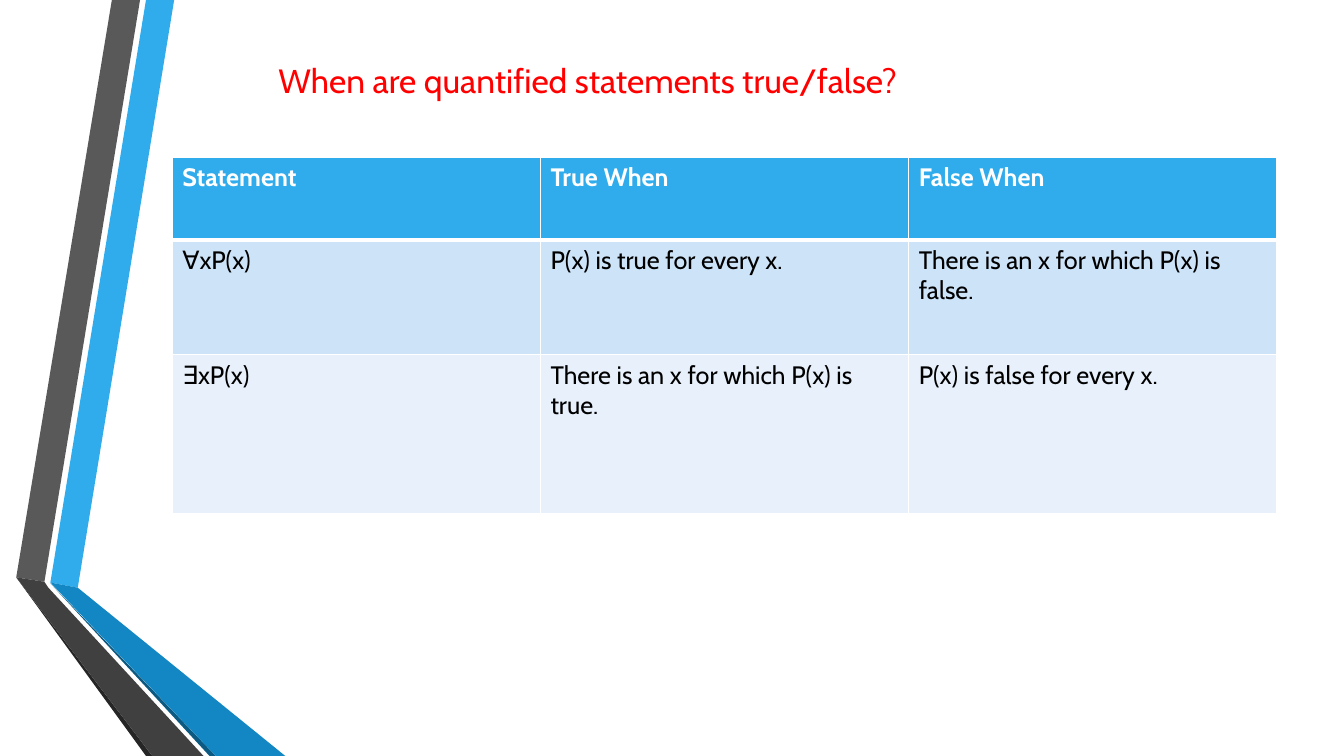
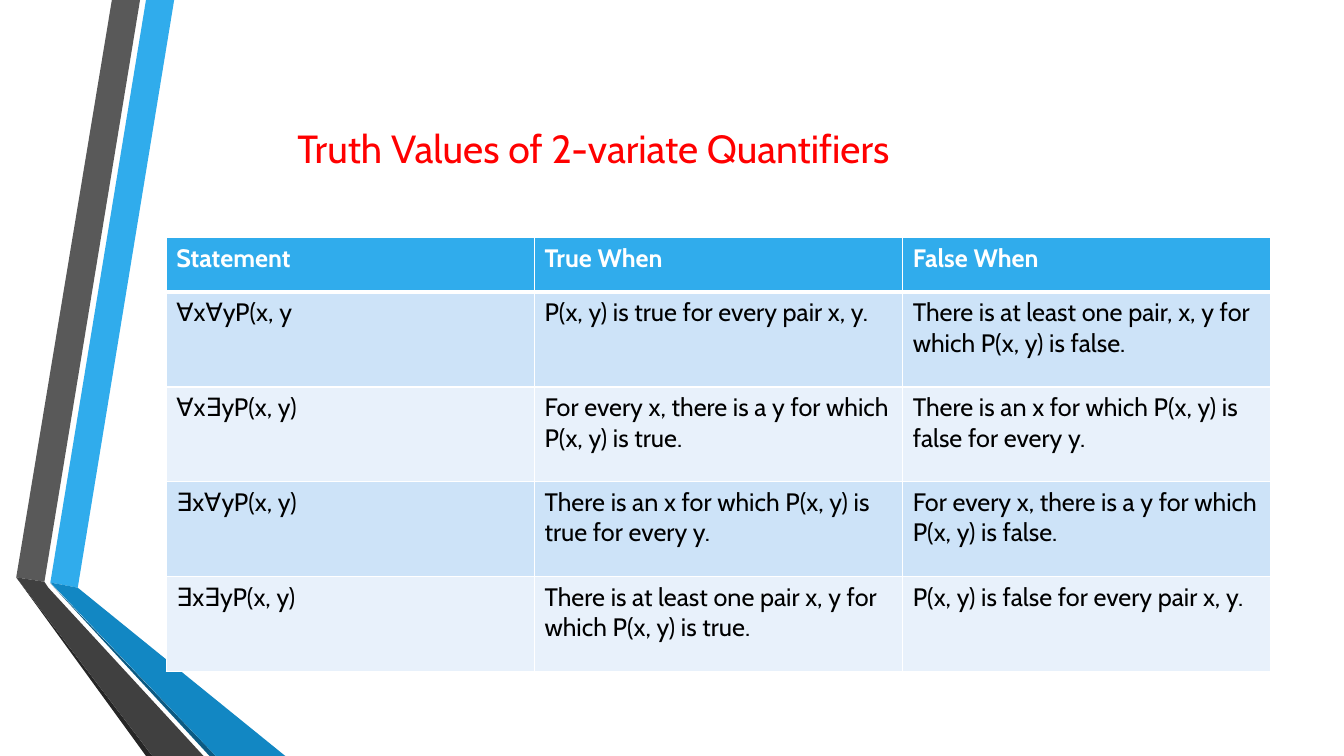
from lxml import etree
from pptx import Presentation
from pptx.dml.color import RGBColor
from pptx.enum import text
from pptx.oxml import ns
from pptx.util import Cm, Pt

FONT = "Cabin"
WHITE, BLACK, RED = "FFFFFF", "000000", "FF0000"
HEADER_BLUE = "30ACEC"
ROW_TINTS = ("CDE3F8", "E8F1FB")
SLIDE_WIDTH, SLIDE_HEIGHT = 33.87, 19.05
COLUMN_WIDTH = 9.28
HEADINGS = ("Statement", "True When", "False When")

# Folded ribbons at the left edge: colour and corners in cm.
RIBBONS = (
    (HEADER_BLUE, ((1.27, 14.68), (1.96, 14.81), (4.39, 0), (3.68, 0))),
    ("595959", ((3.53, 0), (2.82, 0), (0.41, 14.55), (1.12, 14.66))),
    ("262626", ((0.41, 14.55), (3.68, SLIDE_HEIGHT), (3.84, SLIDE_HEIGHT))),
    ("0C5A82", ((1.27, 14.7), (5.28, SLIDE_HEIGHT), (5.44, SLIDE_HEIGHT))),
    ("1287C3", ((1.27, 14.68), (5.44, SLIDE_HEIGHT), (7.19, SLIDE_HEIGHT),
                (1.96, 14.81))),
    ("404040", ((5.13, SLIDE_HEIGHT), (1.22, 14.81), (1.12, 14.66),
                (0.41, 14.55), (3.84, SLIDE_HEIGHT))),
)

ONE_VARIABLE = (
    ("∀xP(x)", "P(x) is true for every x.",
     "There is an x for which P(x) is false."),
    ("∃xP(x)", "There is an x for which P(x) is true.",
     "P(x) is false for every x."),
)
TWO_VARIABLES = (
    ("∀x∀yP(x, y", "P(x, y) is true for every pair x, y.",
     "There is at least one pair, x, y for which P(x, y) is false."),
    ("∀x∃yP(x, y)", "For every x, there is a y for which P(x, y) is true.",
     "There is an x for which P(x, y) is false for every y."),
    ("∃x∀yP(x, y)", "There is an x for which P(x, y) is true for every y.",
     "For every x, there is a y for which P(x, y) is false."),
    ("∃x∃yP(x, y)",
     "There is at least one pair x, y for which P(x, y) is true.",
     "P(x, y) is false for every pair x, y."),
)


def paint(fill, colour):
    fill.solid()
    fill.fore_color.rgb = RGBColor.from_string(colour)


def add_run(paragraph, words, size, colour, bold=False):
    run = paragraph.add_run()
    run.text = words
    run.font.name, run.font.size, run.font.bold = FONT, Pt(size), bold
    paint(run.font.fill, colour)


def add_ribbons(layout, slide):
    """Draw the ribbons on a slide, then move them to its layout."""
    for colour, corners in RIBBONS:
        start, *others = [(Cm(x), Cm(y)) for x, y in corners]
        builder = slide.shapes.build_freeform(*start)
        builder.add_line_segments(others, close=True)
        ribbon = builder.convert_to_shape()
        ribbon.shadow.inherit = False
        paint(ribbon.fill, colour)
        ribbon.line.fill.background()
        layout.shapes.element.append(ribbon.element)


def add_title(slide, words, size, left, top, width, height):
    title = slide.shapes.title
    title.left, title.top = Cm(left), Cm(top)
    title.width, title.height = Cm(width), Cm(height)
    frame = title.text_frame
    frame.word_wrap = True
    frame.auto_size = text.MSO_AUTO_SIZE.NONE
    frame.vertical_anchor = text.MSO_ANCHOR.TOP
    paragraph = frame.paragraphs[0]
    paragraph.alignment = text.PP_ALIGN.LEFT
    add_run(paragraph, words, size, RED)


def set_borders(cell, top, bottom):
    """Give a cell white borders; top and bottom are widths in points."""
    properties = cell._tc.get_or_add_tcPr()
    widths = (("lnL", 1), ("lnR", 1), ("lnT", top), ("lnB", bottom))
    for position, (side, width) in enumerate(widths):
        border = etree.Element(ns.qn("a:" + side), w=str(Pt(width)))
        solid = etree.SubElement(border, ns.qn("a:solidFill"))
        etree.SubElement(solid, ns.qn("a:srgbClr"), val=WHITE)
        properties.insert(position, border)


def add_truth_table(slide, statements, left, top, row_heights):
    rows = (HEADINGS, *statements)
    table = slide.shapes.add_table(
        len(rows), len(HEADINGS), Cm(left), Cm(top),
        Cm(COLUMN_WIDTH * len(HEADINGS)), Cm(sum(row_heights))).table
    for column in table.columns:
        column.width = Cm(COLUMN_WIDTH)
    for index, (entries, height) in enumerate(zip(rows, row_heights)):
        table.rows[index].height = Cm(height)
        header = index == 0
        tint = HEADER_BLUE if header else ROW_TINTS[(index - 1) % 2]
        for column, words in enumerate(entries):
            cell = table.cell(index, column)
            paint(cell.fill, tint)
            set_borders(cell, top=3 if index == 1 else 1,
                        bottom=3 if header else 1)
            add_run(cell.text_frame.paragraphs[0], words, 18,
                    WHITE if header else BLACK, bold=header)


def main():
    deck = Presentation()
    deck.slide_width, deck.slide_height = Cm(SLIDE_WIDTH), Cm(SLIDE_HEIGHT)
    layout = deck.slide_layouts.get_by_name("Title Only")
    for placeholder in list(layout.placeholders)[1:]:
        layout.shapes.element.remove(placeholder.element)

    one_variable = deck.slides.add_slide(layout)
    add_ribbons(layout, one_variable)
    add_title(one_variable, "When are quantified statements true/false?",
              24, 6.76, 1.37, 20.22, 1.27)
    add_truth_table(one_variable, ONE_VARIABLE, 4.34, 3.96, (2.08, 2.9, 3.99))

    two_variables = deck.slides.add_slide(layout)
    add_title(two_variables, "Truth Values of 2-variate Quantifiers",
              28, 7.24, 3, 16.94, 1.45)
    add_truth_table(two_variables, TWO_VARIABLES, 4.19, 5.99,
                    (1.37, *[2.39] * len(TWO_VARIABLES)))

    deck.save("out.pptx")


if __name__ == "__main__":
    main()
